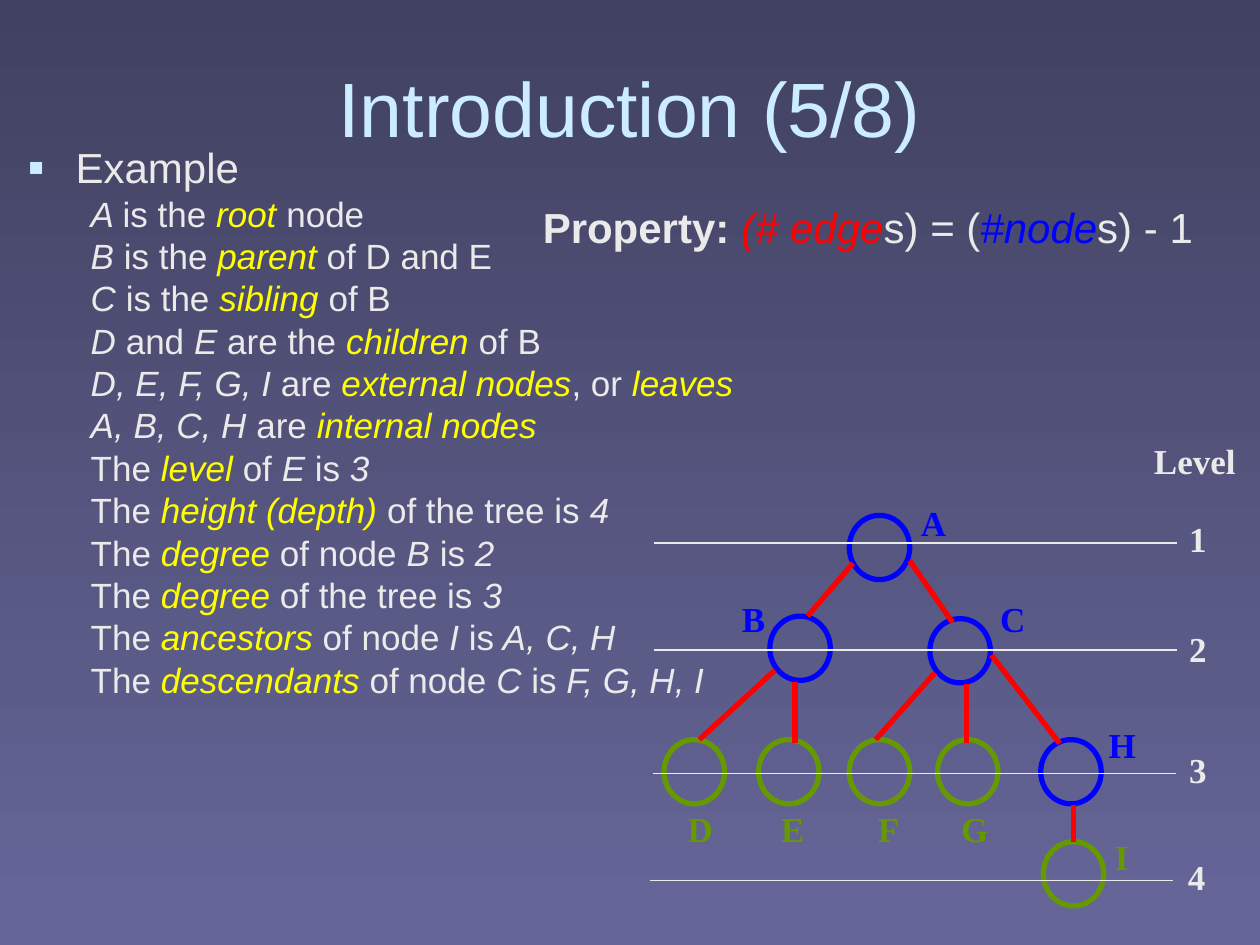
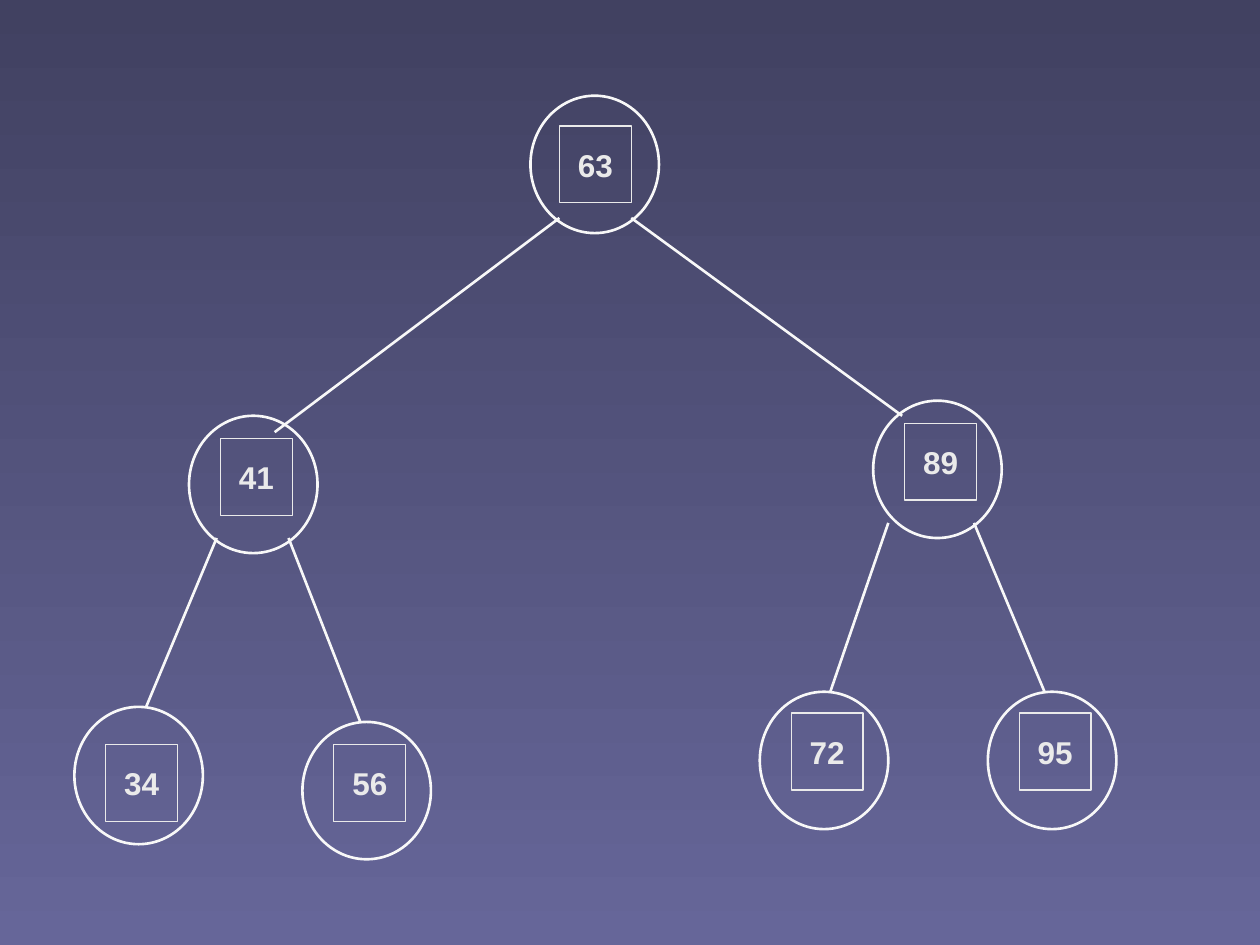
from dataclasses import dataclass

from lxml.etree import SubElement
from pptx import Presentation
from pptx.dml.color import RGBColor
from pptx.enum.shapes import MSO_CONNECTOR, MSO_SHAPE
from pptx.enum.text import MSO_ANCHOR, MSO_AUTO_SIZE, PP_ALIGN
from pptx.oxml.ns import qn
from pptx.util import Inches, Pt

# Shared look
SKY, TEXT, WHITE = "CCECFF", "EAEAEA", "F8F8F8"
YELLOW, RED, BLUE, GREEN = "FFFF00", "FF0000", "0000FF", "669900"
BACKGROUND = ("414161", "666699")
SANS, SERIF = "Arial", "Times New Roman"

# A segment of marked text starts with one of these signs, or is plain
STYLES = {
    "/": {"italic": True},
    "*": {"italic": True, "color": YELLOW},
    "!": {"bold": True},
    "~": {"italic": True, "color": RED},
    "^": {"italic": True, "color": BLUE},
}

Edge = tuple[float, float, float, float]


@dataclass
class TreeNode:
    name: str
    left: float
    top: float
    label_left: float
    label_top: float
    label_width: float
    is_leaf: bool = False

    @property
    def color(self) -> str:
        return GREEN if self.is_leaf else BLUE


@dataclass
class Level:
    name: str
    line_left: float
    line_top: float
    label_left: float
    label_top: float


@dataclass
class ValueNode:
    value: str
    left: float
    top: float
    box_left: float
    box_top: float


# Slide 1 content
FACTS = [
    "/A |is the |*root |node",
    "/B |is the |*parent |of D and E",
    "/C |is the |*sibling |of B",
    "/D |and |/E |are the |*children |of B",
    "/D, E, F, G, I| are |*external nodes|, or |*leaves",
    "/A, B, C, H |are |*internal nodes",
    "The |*level| of |/E |is |/3",
    "The |*height (depth) |of the tree is |/4",
    "The |*degree |of node |/B |is |/2",
    "The |*degree |of the tree is |/3",
    "The |*ancestors |of node |/I |is|/ A, C, H",
    "The |*descendants |of node |/C |is|/ F, G, H, I",
]
PROPERTY = "!Property: |~(# edge|s) = (|^#node|s) - 1"
TREE_NODE_SIZE = (0.48, 0.51)
TREE_NODES = [
    TreeNode("A", 6.74, 4.09, 7.21, 3.93, 0.4),
    TreeNode("B", 6.11, 4.89, 5.79, 4.69, 0.38),
    TreeNode("C", 7.38, 4.91, 7.84, 4.69, 0.4),
    TreeNode("D", 5.27, 5.87, 5.36, 6.36, 0.4, True),
    TreeNode("E", 6.02, 5.87, 6.1, 6.36, 0.38, True),
    TreeNode("F", 6.74, 5.87, 6.87, 6.36, 0.37, True),
    TreeNode("G", 7.44, 5.87, 7.53, 6.36, 0.41, True),
    TreeNode("H", 8.26, 5.87, 8.7, 5.69, 0.41),
    TreeNode("I", 8.28, 6.68, 8.75, 6.58, 0.31, True),
]
TREE_EDGES: list[Edge] = [
    (6.77, 4.47, 6.41, 4.89),
    (7.22, 4.45, 7.56, 4.94),
    (6.15, 5.32, 5.55, 5.87),
    (6.31, 5.41, 6.31, 5.9),
    (7.42, 5.34, 6.95, 5.87),
    (7.67, 5.43, 7.67, 5.9),
    (7.87, 5.2, 8.41, 5.9),
    (8.52, 6.39, 8.52, 6.68),
]
LEVEL_LINE_WIDTH = 4.15
LEVELS = [
    Level("1", 5.19, 4.31, 9.34, 4.06),
    Level("2", 5.19, 5.16, 9.34, 4.93),
    Level("3", 5.18, 6.14, 9.34, 5.89),
    Level("4", 5.16, 6.99, 9.33, 6.74),
]

# Slide 2 content
VALUE_CIRCLE_SIZE, VALUE_BOX_SIZE = (1.02, 1.09), (0.57, 0.61)
VALUE_NODES = [
    ValueNode("63", 4.21, 0.76, 4.44, 1.0),
    ValueNode("41", 1.5, 3.3, 1.75, 3.48),
    ValueNode("89", 6.93, 3.18, 7.18, 3.36),
    ValueNode("34", 0.59, 5.61, 0.84, 5.91),
    ValueNode("56", 2.4, 5.73, 2.65, 5.91),
    ValueNode("72", 6.03, 5.49, 6.28, 5.66),
    ValueNode("95", 7.84, 5.49, 8.09, 5.66),
]
VALUE_EDGES: list[Edge] = [
    (4.44, 1.73, 2.18, 3.43),
    (5.01, 1.73, 7.16, 3.3),
    (1.72, 4.27, 1.16, 5.61),
    (2.29, 4.27, 2.86, 5.73),
    (7.05, 4.15, 6.59, 5.49),
    (7.73, 4.15, 8.29, 5.49),
]


def rgb(color: str) -> RGBColor:
    return RGBColor.from_string(color)


def write(paragraph, text: str, *, size: float, font: str = SANS,
          color: str = TEXT, bold: bool = False) -> None:
    """Add marked text, one run for each segment between bars."""
    for segment in text.split("|"):
        style = STYLES.get(segment[0], {})
        run = paragraph.add_run()
        run.text = segment[1:] if style else segment
        run.font.name, run.font.size = font, Pt(size)
        run.font.bold = style.get("bold", bold)
        run.font.italic = style.get("italic", False)
        run.font.color.rgb = rgb(style.get("color", color))


def place(shape, left: float, top: float, width: float, height: float) -> None:
    shape.left, shape.top = Inches(left), Inches(top)
    shape.width, shape.height = Inches(width), Inches(height)


def add_label(slide, text: str, left: float, top: float, width: float,
              height: float = 0.44, **text_format) -> None:
    box = slide.shapes.add_textbox(
        Inches(left), Inches(top), Inches(width), Inches(height))
    box.text_frame.word_wrap = False
    box.text_frame.auto_size = MSO_AUTO_SIZE.SHAPE_TO_FIT_TEXT
    write(box.text_frame.paragraphs[0], text, **text_format)


def add_outline(slide, kind: MSO_SHAPE, left: float, top: float,
                size: tuple[float, float], color: str, weight: float):
    shape = slide.shapes.add_shape(
        kind, Inches(left), Inches(top), Inches(size[0]), Inches(size[1]))
    shape.shadow.inherit = False
    shape.fill.background()
    shape.line.color.rgb, shape.line.width = rgb(color), Pt(weight)
    return shape


def add_line(slide, edge: Edge, color: str, weight: float) -> None:
    line = slide.shapes.add_connector(
        MSO_CONNECTOR.STRAIGHT, *(Inches(value) for value in edge))
    line.line.color.rgb, line.line.width = rgb(color), Pt(weight)
    SubElement(line._element.spPr, qn("a:effectLst"))


def set_bullet(paragraph, margin: float, indent: float, bullet: str = "") -> None:
    properties = paragraph._p.get_or_add_pPr()
    properties.set("marL", str(Inches(margin)))
    properties.set("indent", str(Inches(indent)))
    if not bullet:
        SubElement(properties, qn("a:buNone"))
        return
    SubElement(SubElement(properties, qn("a:buClr")), qn("a:srgbClr"), val=SKY)
    SubElement(properties, qn("a:buSzPct"), val="115000")
    SubElement(properties, qn("a:buFont"), typeface=SANS)
    SubElement(properties, qn("a:buChar"), char=bullet)


def set_background(master) -> None:
    fill = master.background.fill
    fill.gradient()
    fill.gradient_angle = 270
    for stop, color in zip(fill.gradient_stops, BACKGROUND):
        stop.color.rgb = rgb(color)


def build_introduction(presentation) -> None:
    slide = presentation.slides.add_slide(presentation.slide_layouts[1])
    title, body = slide.placeholders

    # Title
    place(title, 0.5, 0.22, 9, 1.25)
    title.text_frame.vertical_anchor = MSO_ANCHOR.MIDDLE
    heading = title.text_frame.paragraphs[0]
    heading.alignment = PP_ALIGN.CENTER
    write(heading, "Introduction (5/8)", size=44, color=SKY)

    # List of facts
    place(body, 0.12, 1.15, 9, 4.49)
    frame = body.text_frame
    frame.auto_size = MSO_AUTO_SIZE.NONE
    example = frame.paragraphs[0]
    example.line_spacing, example.space_before = 0.8, Pt(0)
    set_bullet(example, 0.38, -0.38, "▪")
    write(example, "Example", size=24)
    for fact in FACTS:
        paragraph = frame.add_paragraph()
        paragraph.level = 1
        paragraph.line_spacing, paragraph.space_before = 0.8, Pt(5)
        set_bullet(paragraph, 0.81, -0.31)
        write(paragraph, fact, size=20)

    # Tree
    for node in TREE_NODES:
        add_outline(slide, MSO_SHAPE.OVAL, node.left, node.top,
                    TREE_NODE_SIZE, node.color, 3)
    for edge in TREE_EDGES:
        add_line(slide, edge, RED, 3)
    label_format = {"size": 20, "font": SERIF, "bold": True}
    for node in TREE_NODES:
        add_label(slide, node.name, node.label_left, node.label_top,
                  node.label_width, color=node.color, **label_format)

    # Levels
    add_label(slide, "Level", 9.06, 3.44, 0.85, **label_format)
    for level in LEVELS:
        right = level.line_left + LEVEL_LINE_WIDTH
        add_line(slide, (level.line_left, level.line_top, right, level.line_top),
                 TEXT, 0.75)
        add_label(slide, level.name, level.label_left, level.label_top, 0.34,
                  **label_format)

    add_label(slide, PROPERTY, 4.21, 1.55, 5.36, 0.5, size=24)


def build_search_tree(presentation) -> None:
    slide = presentation.slides.add_slide(presentation.slide_layouts[6])

    # Values in boxes, then their circles and edges
    for node in VALUE_NODES:
        box = add_outline(slide, MSO_SHAPE.RECTANGLE, node.box_left,
                          node.box_top, VALUE_BOX_SIZE, TEXT, 0.75)
        box.text_frame.word_wrap = False
        box.text_frame.vertical_anchor = MSO_ANCHOR.MIDDLE
        paragraph = box.text_frame.paragraphs[0]
        paragraph.alignment = PP_ALIGN.CENTER
        write(paragraph, node.value, size=18, bold=True)
    for node in VALUE_NODES:
        add_outline(slide, MSO_SHAPE.OVAL, node.left, node.top,
                    VALUE_CIRCLE_SIZE, WHITE, 1.5)
    for edge in VALUE_EDGES:
        add_line(slide, edge, WHITE, 1.5)


def main() -> None:
    presentation = Presentation()
    presentation.slide_width, presentation.slide_height = Inches(10), Inches(7.5)
    set_background(presentation.slide_master)
    build_introduction(presentation)
    build_search_tree(presentation)
    presentation.save("out.pptx")


if __name__ == "__main__":
    main()
